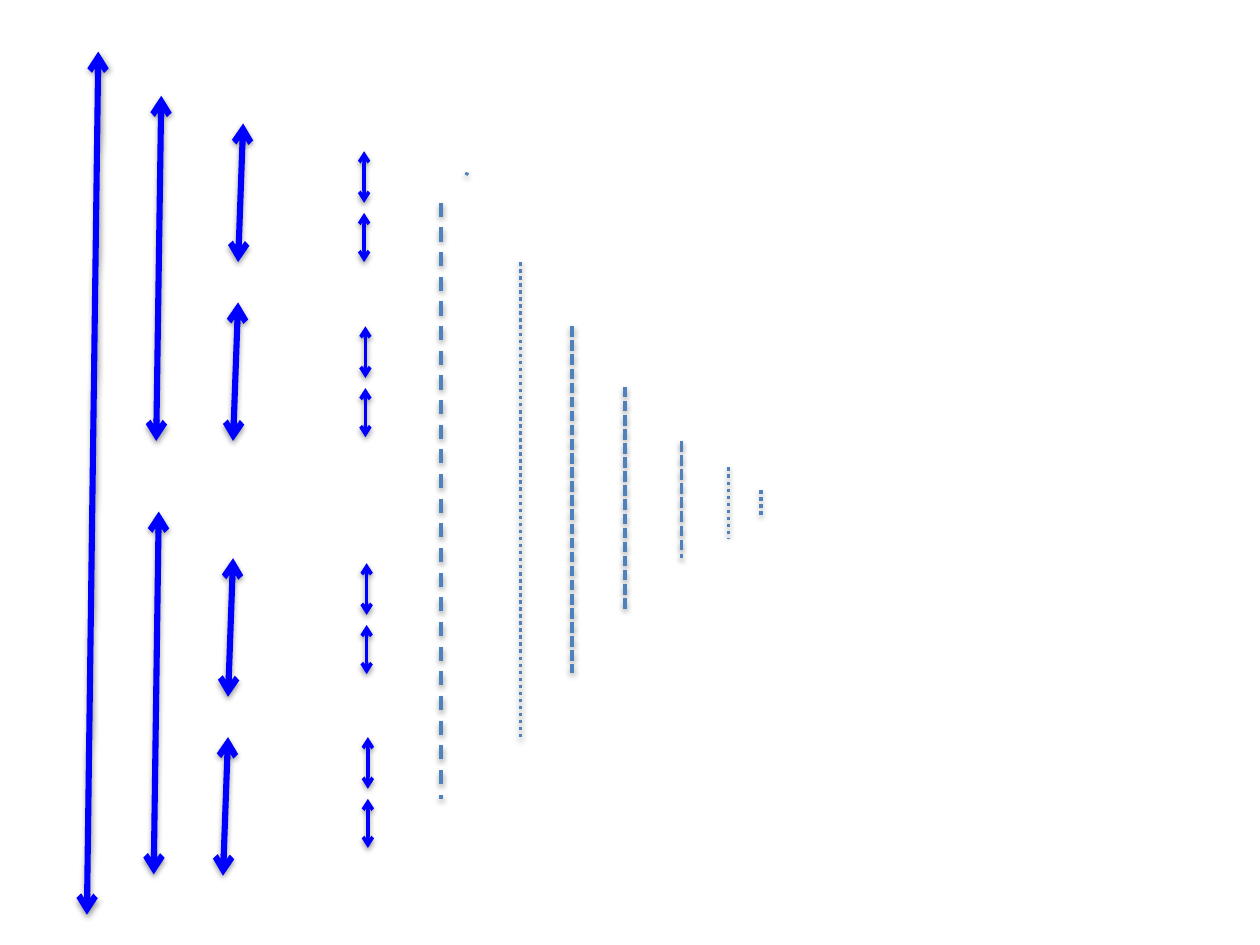
from lxml import etree
from pptx import Presentation
from pptx.dml.color import RGBColor
from pptx.enum.dml import MSO_LINE
from pptx.enum.shapes import MSO_CONNECTOR
from pptx.oxml import parse_xml
from pptx.oxml.ns import qn
from pptx.util import Inches, Pt

STRAIGHT = MSO_CONNECTOR.STRAIGHT
DASH = MSO_LINE.DASH
DOT = MSO_LINE.ROUND_DOT
SHORT = MSO_LINE.SQUARE_DOT
COLORS = {"arrow": "0000FF", "dash": "4F81BD"}

LONG = [(0.78, 0.41, 0.69, 7.26), (1.28, 0.76, 1.24, 3.5), (1.26, 4.06, 1.22, 6.94)]
MIDS = [(1.93, 0.98), (1.89, 2.4), (1.85, 4.43), (1.81, 5.85)]
MID_LEAN, MID_TALL = 0.04, 1.1
PAIRS = [(2.89, 1.2), (2.9, 2.59), (2.91, 4.47), (2.92, 5.85)]
PARTS = [(0, 0.41), (0.49, 0.88)]
TICK = (3.71, 1.37, 3.7, 1.39)
DASHES = [
    (4.13, 2.08, 5.85, "sysDot"),
    (3.5, 1.61, 6.34, "dash"),
    (4.54, 2.59, 5.34, "sysDash"),
    (4.96, 3.07, 4.83, "sysDash"),
    (5.41, 3.5, 4.43, "sysDash"),
    (5.78, 3.71, 4.27, "sysDot"),
    (6.04, 3.89, 4.1, "sysDot"),
]
STYLES = {"dash": DASH, "sysDot": DOT, "sysDash": SHORT}
SHADOW = (
    '<a:effectLst xmlns:a="http://schemas.openxmlformats.org/drawingml/2006/main">'
    '<a:outerShdw blurRad="40000" dist="20000" dir="5400000" rotWithShape="0">'
    '<a:srgbClr val="000000"><a:alpha val="38000"/></a:srgbClr>'
    "</a:outerShdw></a:effectLst>"
)


def add_line(slide, ends, color, width, style=None, heads=False):
    line = slide.shapes.add_connector(STRAIGHT, *map(Inches, ends))
    line.line.color.rgb = RGBColor.from_string(COLORS[color])
    line.line.width = Pt(width)
    if style:
        line.line.dash_style = STYLES[style]
        dash = line.line._ln.find(qn("a:prstDash"))
        dash.set("val", style)
    if heads:
        for tag in ("a:headEnd", "a:tailEnd"):
            etree.SubElement(line.line._ln, qn(tag), type="arrow")
    line._element.spPr.append(parse_xml(SHADOW))


def main():
    deck = Presentation()
    deck.slide_width, deck.slide_height = Inches(10), Inches(7.5)
    slide = deck.slides.add_slide(deck.slide_layouts[6])

    mids = [(x, y, x - MID_LEAN, y + MID_TALL) for x, y in MIDS]
    for ends in LONG + mids:
        add_line(slide, ends, "arrow", 3.5, heads=True)
    for x, y in PAIRS:
        for top, end in PARTS:
            add_line(slide, (x, y + top, x, y + end), "arrow", 2, heads=True)

    add_line(slide, TICK, "dash", 2)
    for x, top, end, style in DASHES:
        add_line(slide, (x, top, x, end), "dash", 2, style)

    deck.save("out.pptx")


if __name__ == "__main__":
    main()
